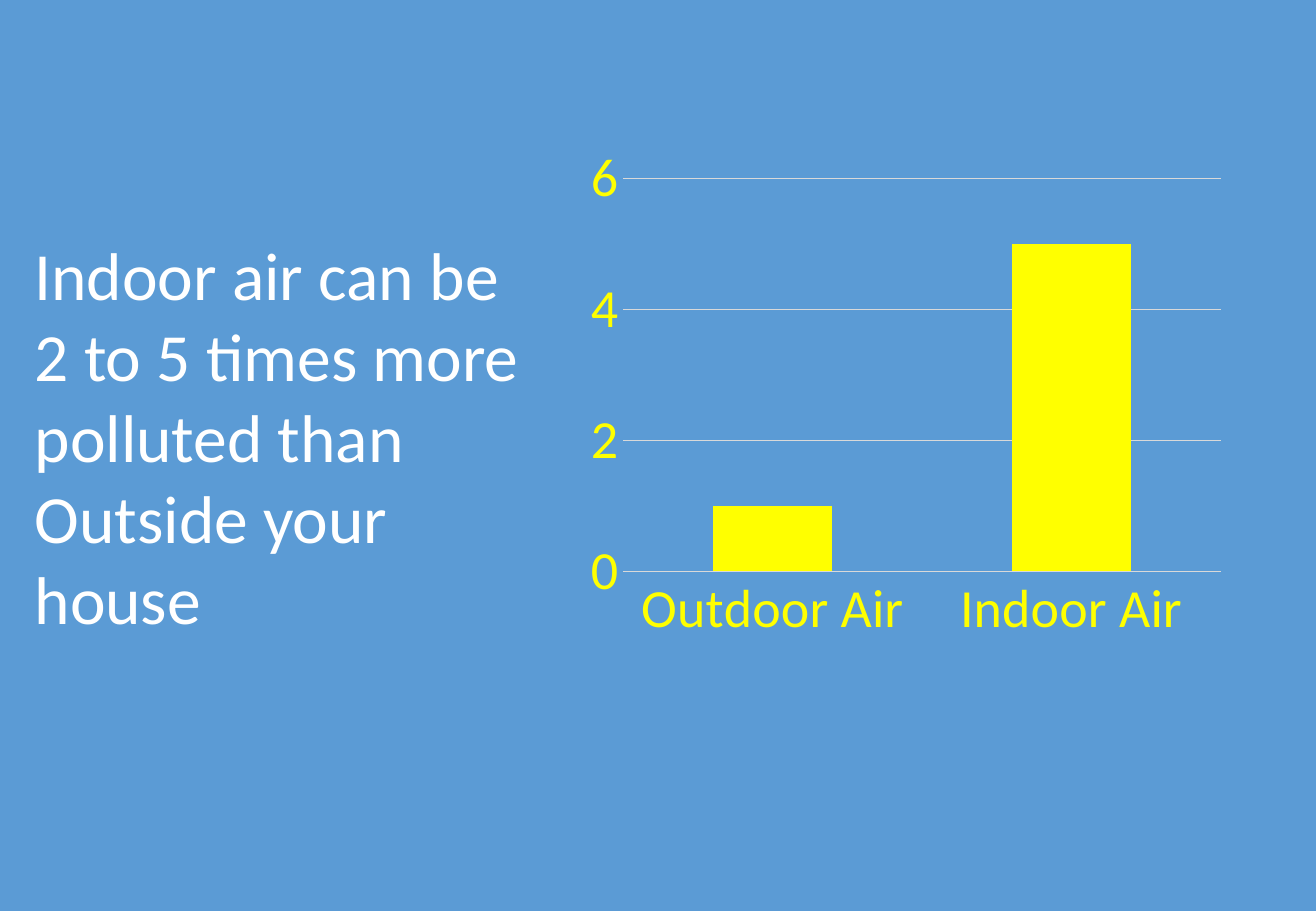
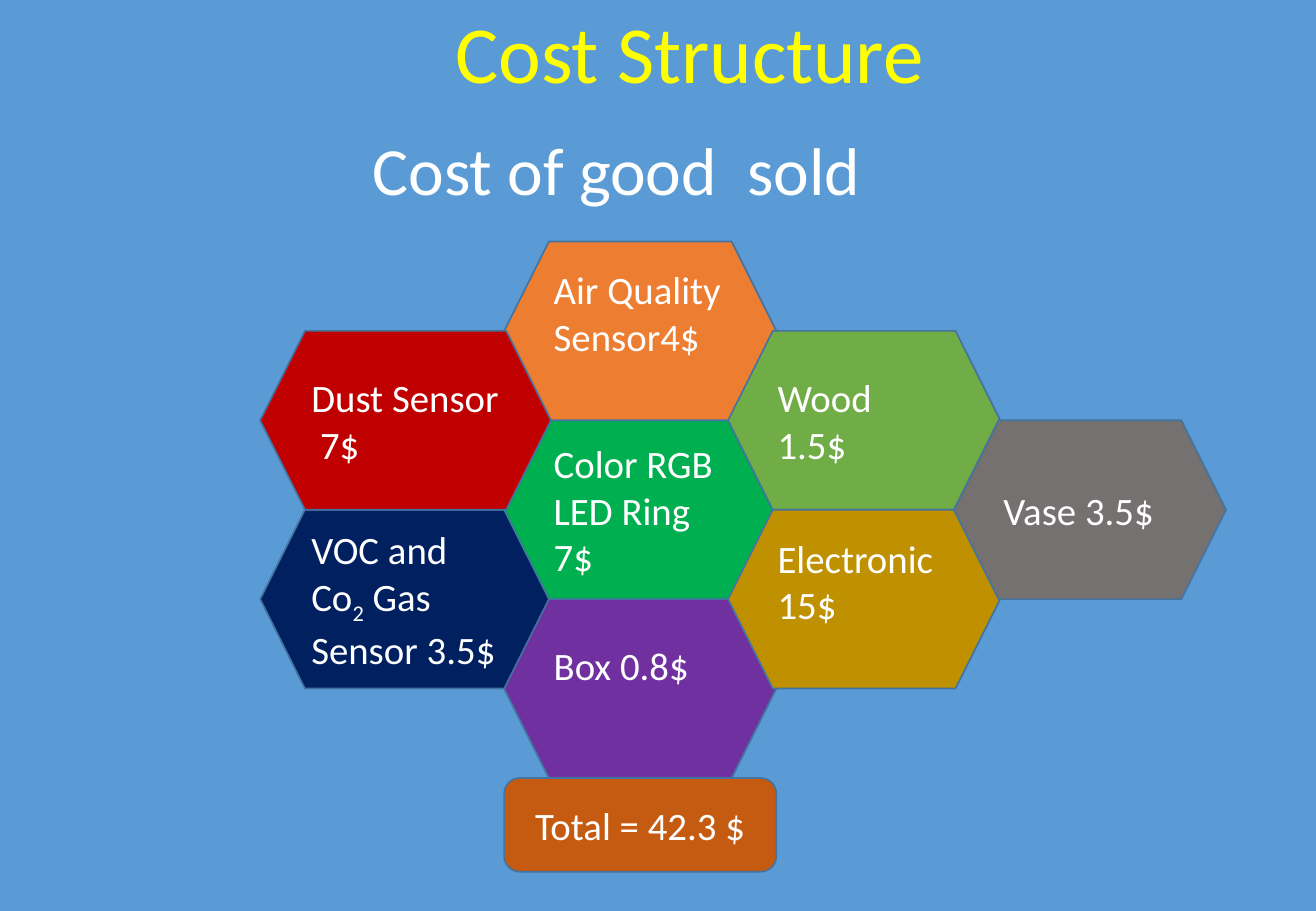
from lxml import etree
from pptx import Presentation
from pptx.chart.data import CategoryChartData
from pptx.dml.color import RGBColor
from pptx.enum import chart as ch, shapes, text
from pptx.oxml import parse_xml
from pptx.oxml.ns import nsdecls, qn
from pptx.util import Cm, Pt

FONT = "Calibri"
HUES = {
    "sky": "5B9BD5", "white": "FFFFFF", "yellow": "FFFF00", "grid": "D9D9D9",
    "edge": "43739E", "navy": "002060", "green": "00B050", "purple": "7030A0",
    "orange": "ED7D31", "lime": "70AD47", "gold": "BF9000", "red": "C00000",
    "grey": "767171", "rust": "C55A11",
}
LEFT, MID = text.PP_ALIGN.LEFT, text.PP_ALIGN.CENTER


def hue(name):
    return RGBColor.from_string(HUES[name])


def write(shape, lines, size, color="white", align=LEFT):
    """Fill a shape with plain paragraphs; text between underscores is subscript."""
    frame = shape.text_frame
    frame.word_wrap = True
    frame.auto_size = text.MSO_AUTO_SIZE.NONE
    frame.vertical_anchor = text.MSO_ANCHOR.TOP
    for i, line in enumerate(lines):
        para = frame.add_paragraph() if i else frame.paragraphs[0]
        props = para._p.get_or_add_pPr()
        props.set("marL", "0")
        props.set("indent", "0")
        etree.SubElement(props, qn("a:buNone"))
        para.alignment = align
        para.space_before = Pt(0)
        for j, part in enumerate(line.split("_")):
            run = para.add_run()
            run.text = part
            if j % 2:
                run._r.get_or_add_rPr().set("baseline", "-25000")
        para.font.name = FONT
        para.font.size = Pt(size)
        para.font.color.rgb = hue(color)


# Deck: size and shared background
deck = Presentation()
deck.slide_width, deck.slide_height = Cm(27.51), Cm(19.05)
back = deck.slide_master.background.fill
back.solid()
back.fore_color.rgb = hue("sky")
plan = deck.slide_layouts[1]

# Slide 1: statement
slide = deck.slides.add_slide(plan)
title, body = slide.placeholders
title._element.getparent().remove(title._element)
body.left, body.top, body.width, body.height = Cm(0.47), Cm(4.75), Cm(11.25), Cm(8.9)
write(body, ["Indoor air can be", "2 to 5 times more polluted than",
             "Outside your house"], 40)

# Slide 1: column chart
data = CategoryChartData()
data.categories = ["Outdoor Air", "Indoor Air"]
data.add_series("Series 1", [1, 5])
chart = slide.shapes.add_chart(
    ch.XL_CHART_TYPE.COLUMN_STACKED, Cm(11.97), Cm(3.04), Cm(13.56), Cm(11.58),
    data).chart
chart.has_legend = chart.has_title = False
chart.font.name = FONT
chart.font.size = Pt(32)
chart.font.color.rgb = hue("yellow")

plot = chart.plots[0]
plot.gap_width, plot.overlap = 150, 100
plot.vary_by_categories = False
bars = plot.series[0].format.fill
bars.solid()
bars.fore_color.rgb = hue("yellow")

cats, vals = chart.category_axis, chart.value_axis
vals.minimum_scale, vals.maximum_scale, vals.major_unit = 0, 6, 2
vals.has_major_gridlines = True
vals.format.line.fill.background()
for axis in (cats, vals):
    axis.major_tick_mark = axis.minor_tick_mark = ch.XL_TICK_MARK.NONE
for line in (cats.format.line, vals.major_gridlines.format.line):
    line.color.rgb = hue("grid")
    line.width = Pt(0.75)

# Fixed inner plot area
area = chart._chartSpace.find(".//" + qn("c:plotArea"))
for old in area.findall(qn("c:layout")):
    area.remove(old)
spots = {"x": 0.119, "y": 0.054, "w": 0.922, "h": 0.714}
marks = '<c:layoutTarget val="inner"/><c:xMode val="edge"/><c:yMode val="edge"/>'
marks += "".join(f'<c:{k} val="{v}"/>' for k, v in spots.items())
area.insert(0, parse_xml(f'<c:layout {nsdecls("c")}><c:manualLayout>{marks}'
                         '</c:manualLayout></c:layout>'))

# Slide 2: headings
slide = deck.slides.add_slide(plan)
title, body = slide.placeholders
title.left, title.top, title.width, title.height = Cm(2.17), Cm(-0.08), Cm(24.49), Cm(2.31)
write(title, ["Cost Structure"], 48, "yellow", MID)
body.left, body.top, body.width, body.height = Cm(7.54), Cm(2.54), Cm(13.89), Cm(1.96)
write(body, ["Cost of good  sold"], 40)

# Slide 2: honeycomb; each row lies half a cell below the last
COLS = [5.44, 10.54, 15.22, 19.94]
TOP, TALL, WIDE, BROAD = 5.05, 3.74, 5.69, 6.08
HEX = shapes.MSO_SHAPE.HEXAGON
PILL = shapes.MSO_SHAPE.FLOWCHART_ALTERNATE_PROCESS
# kind, column, row, width, height, fill, lines, top inset (None: centred)
cells = [
    (HEX, 0, 3, BROAD, TALL, "navy", ["VOC and Co_2_ Gas Sensor 3.5$"], None),
    (HEX, 1, 2, WIDE, TALL, "green", ["Color RGB LED Ring 7$"], None),
    (HEX, 1, 4, WIDE, TALL, "purple", ["Box 0.8$"], 0.38),
    (HEX, 1, 0, WIDE, TALL, "orange", ["Air Quality Sensor4$"], 0),
    (HEX, 2, 1, WIDE, TALL, "lime", ["Wood", "1.5$"], None),
    (HEX, 2, 3, WIDE, TALL, "gold", ["Electronic 15$"], 0),
    (HEX, 0, 1, BROAD, TALL, "red", ["Dust Sensor  7$"], None),
    (HEX, 3, 2, WIDE, TALL, "grey", ["Vase 3.5$"], None),
    (PILL, 1, 6, WIDE, 1.96, "rust", ["Total = 42.3 $"], None),
]
for kind, col, row, wide, tall, fill, lines, inset in cells:
    cell = slide.shapes.add_shape(kind, Cm(COLS[col]), Cm(TOP + row * TALL / 2),
                                  Cm(wide), Cm(tall))
    cell.shadow.inherit = False
    cell.fill.solid()
    cell.fill.fore_color.rgb = hue(fill)
    cell.line.color.rgb = hue("edge")
    cell.line.width = Pt(1)
    write(cell, lines, 23, align=MID if kind == PILL else LEFT)
    frame = cell.text_frame
    if inset is None:
        frame.vertical_anchor = text.MSO_ANCHOR.MIDDLE
    else:
        frame.margin_top = Cm(inset)

deck.save("out.pptx")
